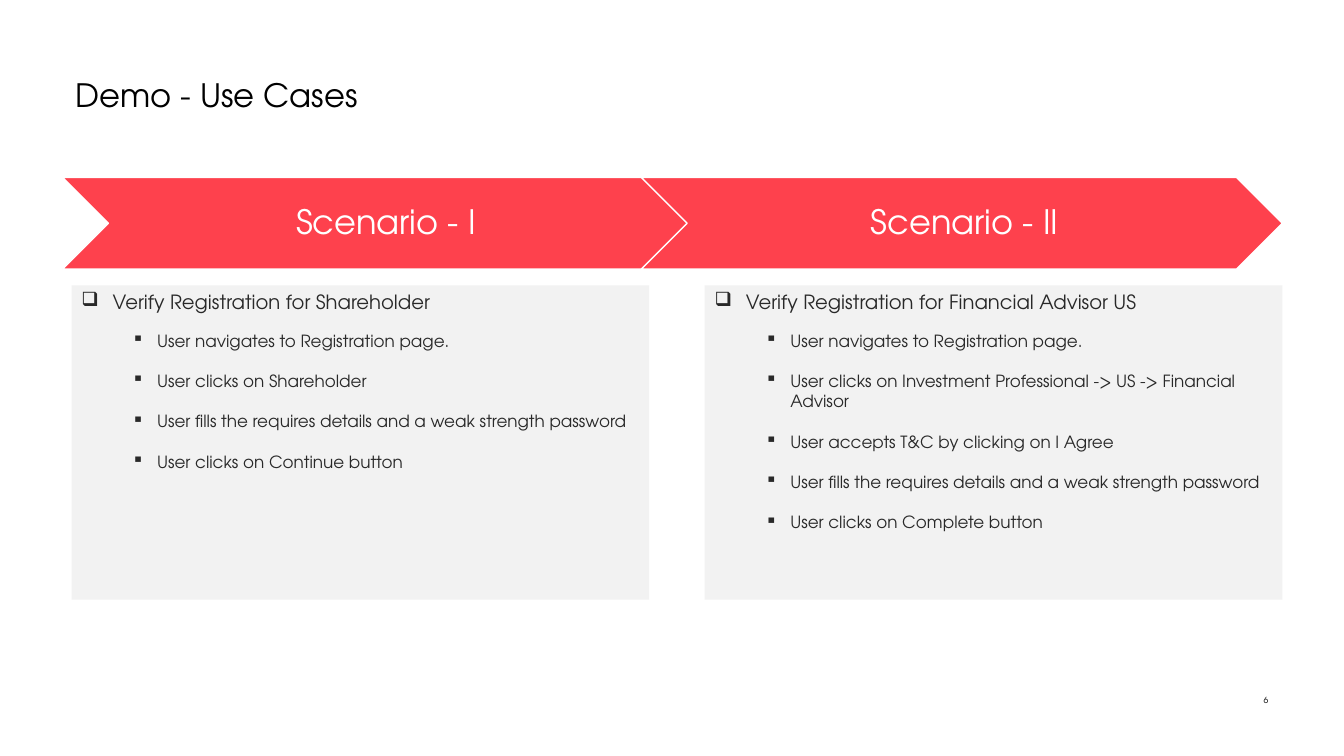
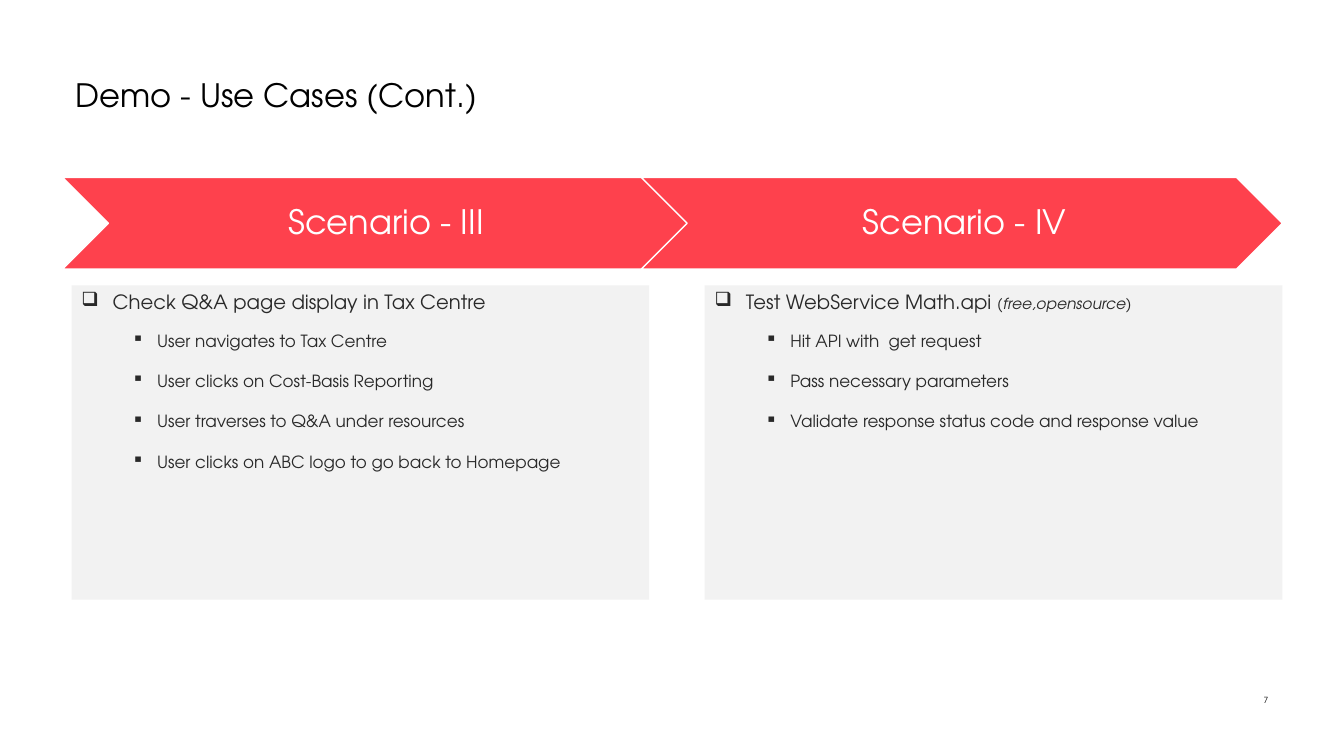
from dataclasses import dataclass
from lxml import etree
from pptx import Presentation
from pptx.dml.color import RGBColor
from pptx.enum import shapes, text
from pptx.oxml.ns import qn
from pptx.util import Inches, Pt


@dataclass(frozen=True)
class Theme:
    font: str = "TeX Gyre Adventor"
    black: str = "000000"
    white: str = "FFFFFF"
    red: str = "FE414D"
    gray: str = "F2F2F2"
    ink: str = "292929"
    title: int = 23
    banner: int = 24
    head: int = 14
    step: int = 12
    note: int = 11
    page: int = 6


T = Theme()
FIRST = 6
SLIDES = [
    ("Demo - Use Cases", [
        ("Scenario - I", "Verify Registration for Shareholder", "", [
            "User navigates to Registration page.",
            "User clicks on Shareholder",
            "User fills the requires details and a weak strength password",
            "User clicks on Continue button",
        ]),
        ("Scenario - II", "Verify Registration for Financial Advisor US", "", [
            "User navigates to Registration page.",
            "User clicks on Investment Professional -> US -> Financial Advisor",
            "User accepts T&C by clicking on I Agree",
            "User fills the requires details and a weak strength password",
            "User clicks on Complete button",
        ]),
    ]),
    ("Demo - Use Cases (Cont.)", [
        ("Scenario - III", "Check Q&A page display in Tax Centre", "", [
            "User navigates to Tax Centre",
            "User clicks on Cost-Basis Reporting",
            "User traverses to Q&A under resources",
            "User clicks on ABC logo to go back to Homepage",
        ]),
        ("Scenario - IV", "Test WebService Math.api ", "(free,opensource)", [
            "Hit API with  get request",
            "Pass necessary parameters",
            "Validate response status code and response value",
        ]),
    ]),
]


def add_run(para, words, size, color, italic=False):
    run = para.add_run()
    run.text = words
    font = run.font
    font.name, font.size, font.italic = T.font, Pt(size), italic
    font.color.rgb = RGBColor.from_string(color)


def set_frame(shape, inset, anchor):
    frame = shape.text_frame
    frame.word_wrap = True
    frame.vertical_anchor = anchor
    (frame.margin_left, frame.margin_top,
     frame.margin_right, frame.margin_bottom) = map(Inches, inset)
    return frame


def add_label(slide, box, words, size, align, anchor):
    label = slide.shapes.add_textbox(*map(Inches, box))
    para = set_frame(label, (0, 0, 0, 0), anchor).paragraphs[0]
    para.alignment = align
    add_run(para, words, size, T.black)


def add_block(slide, kind, box, fill):
    block = slide.shapes.add_shape(kind, *map(Inches, box))
    block.shadow.inherit = False
    block.fill.solid()
    block.fill.fore_color.rgb = RGBColor.from_string(fill)
    return block


def set_bullet(para, mark, left, hang, after):
    para.alignment = text.PP_ALIGN.LEFT
    para.space_after = Pt(after)
    props = para._p.get_or_add_pPr()
    props.set("marL", str(Inches(left)))
    props.set("indent", str(-Inches(hang)))
    etree.SubElement(props, qn("a:buChar")).set("char", mark)


def add_banner(slide, col, words):
    box = (0.62 + 5.74 * col, 1.76, 6.36, 0.91)
    banner = add_block(slide, shapes.MSO_SHAPE.CHEVRON, box, T.red)
    banner.line.color.rgb = RGBColor.from_string(T.white)
    banner.line.width = Pt(1)
    frame = set_frame(banner, (0.1, 0.04, 0.04, 0.04), text.MSO_ANCHOR.MIDDLE)
    para = frame.paragraphs[0]
    para.alignment = text.PP_ALIGN.CENTER
    para.line_spacing = 0.9
    add_run(para, words, T.banner, T.white)


def add_panel(slide, col, head, note, steps):
    box = (0.71 + 6.28 * col, 2.83, 5.73, 3.12)
    panel = add_block(slide, shapes.MSO_SHAPE.RECTANGLE, box, T.gray)
    panel.line.fill.background()
    frame = set_frame(panel, (0.1, 0.05, 0.1, 0.05), text.MSO_ANCHOR.TOP)
    para = frame.paragraphs[0]
    add_run(para, head, T.head, T.ink)
    if note:
        add_run(para, note, T.note, T.ink, True)
    set_bullet(para, "❑", 0.31, 0.31, 12)
    for step in steps:
        para = frame.add_paragraph()
        para.level = 1
        add_run(para, step, T.step, T.ink)
        set_bullet(para, "▪", 0.75, 0.25, 14.4)


def main():
    deck = Presentation()
    deck.slide_width, deck.slide_height = Inches(13.33), Inches(7.5)
    for page, (title, cases) in enumerate(SLIDES, FIRST):
        slide = deck.slides.add_slide(deck.slide_layouts[6])
        add_label(slide, (0.75, 0.75, 11.83, 0.82), title, T.title,
                  text.PP_ALIGN.LEFT, text.MSO_ANCHOR.TOP)
        add_label(slide, (12.28, 6.9, 0.3, 0.1), str(page), T.page,
                  text.PP_ALIGN.RIGHT, text.MSO_ANCHOR.MIDDLE)
        for col, (name, head, note, steps) in enumerate(cases):
            add_banner(slide, col, name)
            add_panel(slide, col, head, note, steps)
    deck.save("out.pptx")


if __name__ == "__main__":
    main()
